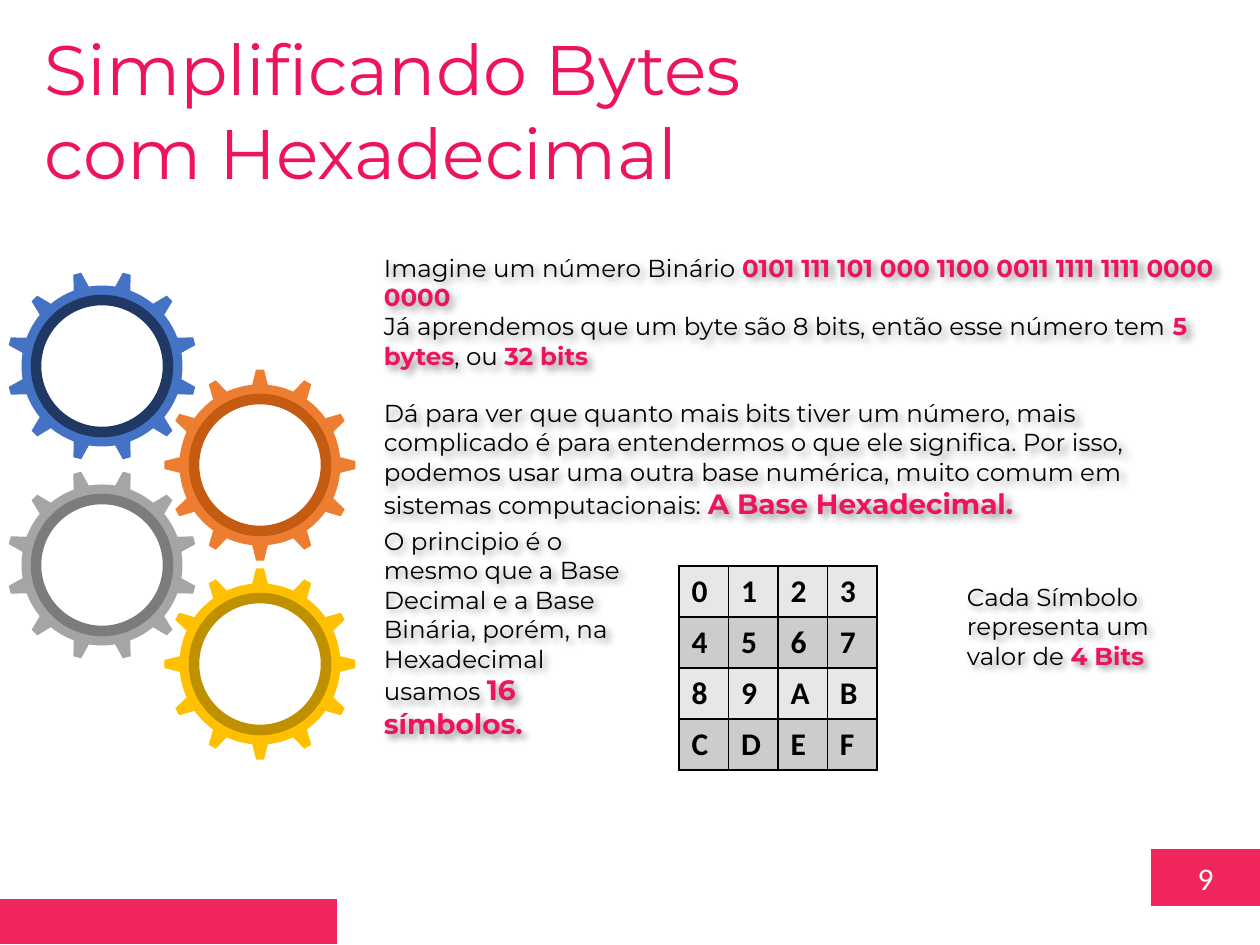
from math import cos, radians, sin

from lxml import etree
from pptx import Presentation
from pptx import util as u
from pptx.dml.color import RGBColor
from pptx.enum import shapes, text
from pptx.oxml import parse_xml
from pptx.oxml.ns import qn

PX = 914400 / 126
PINK, BAND, INK, WHITE = "ED145B", "F0265D", "000000", "FFFFFF"
NS = 'xmlns:a="http://schemas.openxmlformats.org/drawingml/2006/main"'
SHADE = (f'<a:effectLst {NS}><a:outerShdw blurRad="50800" dist="38100" '
         'dir="2700000" algn="tl" rotWithShape="0"><a:srgbClr val="000000">'
         '<a:alpha val="40000"/></a:srgbClr></a:outerShdw></a:effectLst>')


def px(n):
    return u.Emu(round(n * PX))


def rgb(code):
    return RGBColor.from_string(code)


class Deck:
    def __init__(self, face):
        self.face = face
        self.file = Presentation()
        self.file.slide_width, self.file.slide_height = px(1260), px(945)
        self.page = self.file.slides.add_slide(self.file.slide_layouts[5])

    def run(self, para, words, size, color=INK, bold=False, face=None):
        run = para.add_run()
        run.text = words
        font = run.font
        font.name, font.size, font.bold = face or self.face, u.Pt(size), bold
        font.color.rgb = rgb(color)

    def title(self, words, x, y, w, h):
        box = self.page.shapes.title
        box.left, box.top, box.width, box.height = map(px, (x, y, w, h))
        frame = box.text_frame
        frame.word_wrap = True
        frame.auto_size = text.MSO_AUTO_SIZE.NONE
        frame.vertical_anchor = text.MSO_ANCHOR.TOP
        para = frame.paragraphs[0]
        para.alignment = text.PP_ALIGN.LEFT
        self.run(para, words, 40, PINK)

    def shape(self, kind, x, y, w, h, fill, line=None, home=None):
        item = (home or self.page).shapes.add_shape(kind, *map(px, (x, y, w, h)))
        item.shadow.inherit = False
        item.fill.solid()
        item.fill.fore_color.rgb = rgb(fill)
        if line:
            item.line.color.rgb = rgb(line)
            item.line.width = u.Pt(6)
        else:
            item.line.fill.background()
        return item

    def gear(self, x, y, turn, fill, rim):
        """Ring, twelve teeth and a rimmed disc around the centre x, y."""
        kind = shapes.MSO_SHAPE
        group = self.page.shapes.add_group_shape()

        def part(form, cx, cy, size, color, line=None):
            return self.shape(form, cx - size / 2, cy - size / 2, size, size,
                              color, line, group)

        ring = part(kind.DONUT, x, y, 161, fill)
        ring.adjustments[0] = 0.07
        ring.rotation = turn
        for angle in range(turn, turn + 360, 30):
            a = radians(angle)
            tooth = part(kind.TRAPEZOID, x + 87.5 * sin(a), y - 87.5 * cos(a),
                         16, fill)
            tooth.rotation = angle
        part(kind.OVAL, x, y, 132, WHITE, rim)

    def note(self, x, y, w, h, paras, foot=4):
        """Shadowed text; each paragraph is a list of (words, size, strong)."""
        box = self.page.shapes.add_textbox(*map(px, (x, y, w, h)))
        box._element.spPr.append(parse_xml(SHADE))
        frame = box.text_frame
        frame.word_wrap = True
        frame.vertical_anchor = text.MSO_ANCHOR.MIDDLE
        frame.margin_left = frame.margin_right = px(9)
        frame.margin_top, frame.margin_bottom = px(4), px(foot)
        for i, runs in enumerate(paras):
            para = frame.add_paragraph() if i else frame.paragraphs[0]
            for words, size, strong in runs:
                self.run(para, words, size, PINK if strong else INK, strong)

    def grid(self, x, y, w, h, rows, fills):
        table = self.page.shapes.add_table(
            len(rows), len(rows[0]), *map(px, (x, y, w, h))).table
        table.first_row = table.horz_banding = False
        for r, row in enumerate(rows):
            for c, sign in enumerate(row):
                cell = table.cell(r, c)
                self.run(cell.text_frame.paragraphs[0], sign, 18, INK, True,
                         "Calibri")
                props = cell._tc.get_or_add_tcPr()
                for side in ("lnL", "lnR", "lnT", "lnB"):
                    edge = etree.SubElement(props, qn("a:" + side), w="12700")
                    fill = etree.SubElement(edge, qn("a:solidFill"))
                    etree.SubElement(fill, qn("a:srgbClr"), val=INK)
                cell.fill.solid()
                cell.fill.fore_color.rgb = rgb(fills[r % 2])


def main():
    deck = Deck("Montserrat")
    rect = shapes.MSO_SHAPE.RECTANGLE

    # Page number and footer band
    badge = deck.shape(rect, 1151, 849, 109, 57, BAND)
    badge.text_frame.vertical_anchor = text.MSO_ANCHOR.MIDDLE
    para = badge.text_frame.paragraphs[0]
    para.alignment = text.PP_ALIGN.CENTER
    deck.run(para, "9", 18, WHITE, face="Calibri")
    deck.shape(rect, 0, 899, 337, 45, BAND)

    deck.title("Simplificando Bytes com Hexadecimal", 32, 19, 872, 183)

    # Gears in two staggered columns
    tints = [("4472C4", "203864"), ("ED7D31", "C55A11"),
             ("A5A5A5", "7C7C7C"), ("FFC000", "BF9000")]
    for i, (fill, rim) in enumerate(tints):
        row, col = divmod(i, 2)
        deck.gear(102 + 158 * col, 366 + 199 * row + 99 * col,
                  0 if col else 15, fill, rim)

    # Explanations
    deck.note(375, 268, 856, 116, [
        [("Imagine um número Binário ", 14, False),
         ("0101 111 101 000 1100 0011 1111 1111 0000 0000", 14, True)],
        [("Já aprendemos que um byte são 8 bits, então esse número tem ",
          14, False),
         ("5 bytes", 14, True), (", ou ", 14, False), ("32 bits", 14, True)],
    ], foot=33)
    deck.note(375, 549, 255, 168, [
        [("O principio é o mesmo que a Base Decimal e a Base Binária, "
          "porém, na Hexadecimal usamos ", 14, False),
         ("16 símbolos.", 16, True)]])
    deck.note(375, 401, 856, 116, [
        [("Dá para ver que quanto mais bits tiver um número, mais complicado "
          "é para entendermos o que ele significa. Por isso, podemos usar "
          "uma outra base numérica, muito comum em sistemas computacionais: ",
          14, False),
         ("A Base Hexadecimal.", 16, True)]])
    deck.note(958, 568, 249, 116, [
        [("Cada Símbolo representa um valor de ", 14, False),
         ("4 Bits", 14, True)]])

    # The sixteen symbols
    deck.grid(679, 566, 198, 204, ["0123", "4567", "89AB", "CDEF"],
              ("E7E7E7", "CCCCCC"))

    deck.file.save("out.pptx")


if __name__ == "__main__":
    main()
